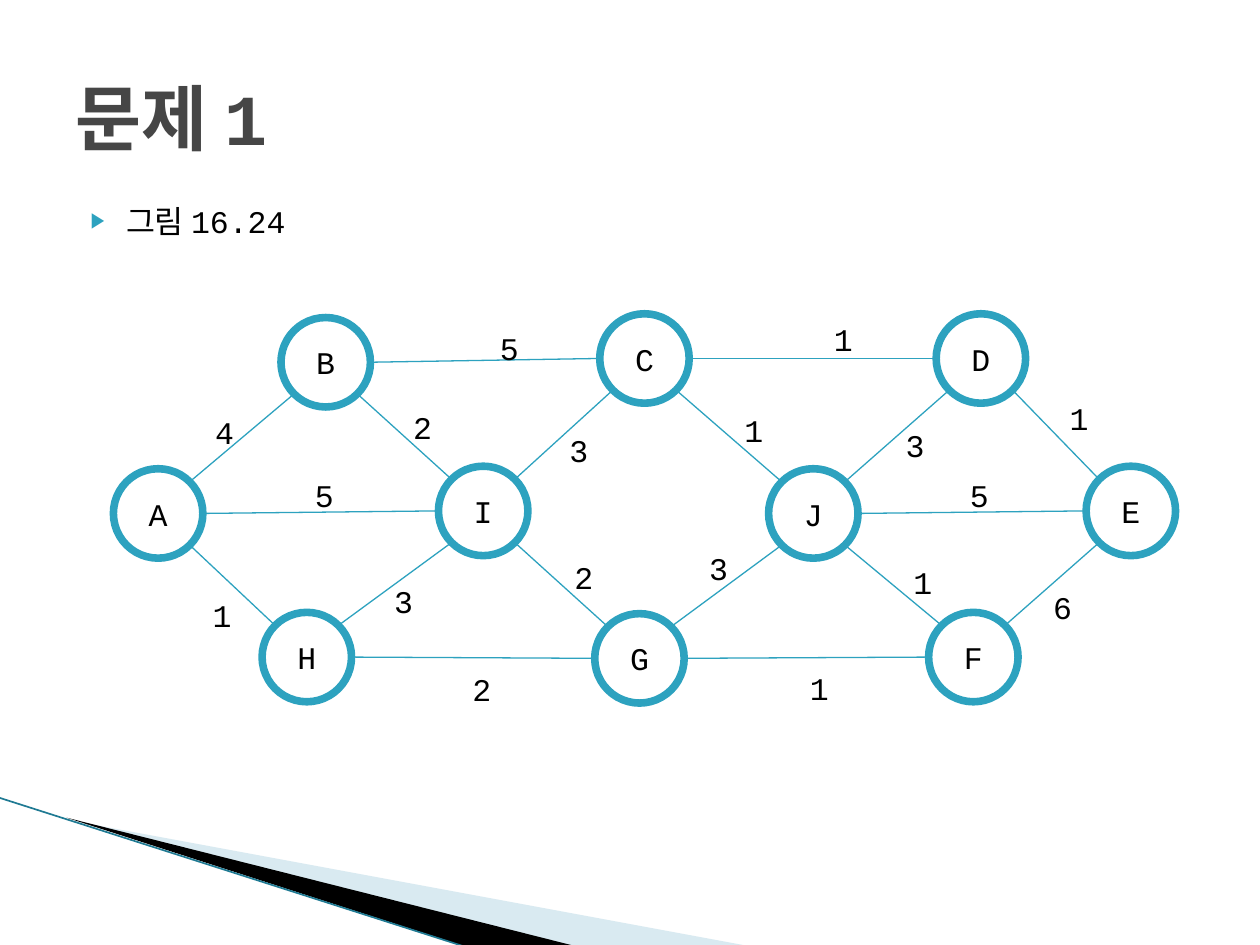
from math import atan2, cos, pi, sin

from lxml import etree
from pptx import Presentation
from pptx.dml.color import RGBColor
from pptx.enum.shapes import MSO_CONNECTOR as CONN, MSO_SHAPE as SHAPE
from pptx.enum.text import MSO_ANCHOR as ANCHOR, MSO_AUTO_SIZE as FIT, PP_ALIGN as ALIGN
from pptx.oxml.ns import qn
from pptx.util import Inches, Pt

FONT, TEAL, SIZE = "Courier New", "2DA2BF", 0.71
NODES = {
    "A": (0, 1.23), "B": (1.33, 0.03), "C": (3.86, 0), "D": (6.53, 0), "E": (7.72, 1.21),
    "F": (6.47, 2.37), "G": (3.82, 2.38), "H": (1.18, 2.37), "I": (2.58, 1.21), "J": (5.2, 1.23),
}
EDGES = [
    ("AB", 4, 0.71, 0.74), ("BC", 5, 2.97, 0.07), ("CD", 1, 5.62, 0), ("DE", 1, 7.49, 0.63),
    ("EF", 6, 7.36, 2.13), ("FG", 1, 5.43, 2.77), ("GH", 2, 2.75, 2.78), ("HA", 1, 0.69, 2.19),
    ("AI", 5, 1.5, 1.24), ("IB", 2, 2.28, 0.7), ("HI", 3, 2.13, 2.08), ("CI", 3, 3.52, 0.88),
    ("GI", 2, 3.56, 1.89), ("CJ", 1, 4.91, 0.72), ("JD", 3, 6.19, 0.84), ("JE", 5, 6.7, 1.24),
    ("JF", 1, 6.25, 1.93), ("JG", 3, 4.63, 1.82),
]


def rgb(color):
    """Turn a hex string into a colour."""
    return RGBColor.from_string(color)


def sub(parent, tag, **attrs):
    """Append a DrawingML element."""
    return etree.SubElement(parent, qn(tag), attrs)


def write(tf, text, size=18, color="000000", bold=False, align=ALIGN.LEFT, anchor=ANCHOR.TOP):
    """Write one formatted paragraph and return it."""
    tf.vertical_anchor = anchor
    p = tf.paragraphs[0]
    p.alignment = align
    r = p.add_run()
    r.text = text
    r.font.name, r.font.size, r.font.bold = FONT, Pt(size), bold
    r.font.color.rgb = rgb(color)
    return p


def line(shapes, start, end, color=TEAL, width=0.75):
    """Draw a straight line without a shadow."""
    c = shapes.add_connector(CONN.STRAIGHT, *map(Inches, (*start, *end)))
    c.line.color.rgb, c.line.width = rgb(color), Pt(width)
    sub(c.element.spPr, "a:effectLst")


def wedge(s, points, color, alpha=None):
    """Draw a filled polygon without an outline."""
    pts = [(Inches(x), Inches(y)) for x, y in points]
    builder = s.shapes.build_freeform(*pts[0])
    builder.add_line_segments(pts[1:])
    sp = builder.convert_to_shape()
    sp.shadow.inherit = False
    sp.fill.solid()
    sp.fill.fore_color.rgb = rgb(color)
    sp.line.fill.background()
    if alpha:
        clr = sp.element.spPr.find(".//" + qn("a:srgbClr"))
        sub(clr, "a:alpha", val=str(alpha * 1000))


def swoosh(s, x, y):
    """Draw the corner decoration from its top left point."""
    wedge(s, [(x + 0.56, y + 0.18), (x + 5.96, y + 1.18), (x + 4.57, y + 1.18)], "A0CBDC", 40)
    wedge(s, [(x + 0.54, y + 0.16), (x + 4.58, y + 1.18), (x + 3.73, y + 1.19)], "000000")
    line(s.shapes, (x, y), (x + 3.72, y + 1.19), "1F7A93", 0.95)


def place(ph, x, y, w, h):
    """Move a placeholder to its box, in front of the decoration."""
    ph.left, ph.top, ph.width, ph.height = map(Inches, (x, y, w, h))
    ph.element.getparent().append(ph.element)
    return ph.text_frame


def heading(s, text, *box):
    """Fill the title placeholder."""
    write(place(s.shapes.title, *box), text, 41, "464646", True, anchor=ANCHOR.MIDDLE)


def bullets(s, text, *box):
    """Fill the body placeholder with a bulleted line."""
    p = write(place(s.placeholders[1], *box), text)
    p.space_before = Pt(4)
    pPr = p._p.get_or_add_pPr()
    pPr.set("marL", str(Inches(0.4)))
    pPr.set("indent", str(Inches(-0.28)))
    sub(sub(pPr, "a:buClr"), "a:srgbClr", val=TEAL)
    sub(pPr, "a:buSzPct", val="68000")
    sub(pPr, "a:buChar", char="▶")


def node(shapes, name, x, y):
    """Draw a named graph node."""
    sp = shapes.add_shape(SHAPE.OVAL, *map(Inches, (x, y, SIZE, SIZE)))
    sp.shadow.inherit = False
    sp.fill.solid()
    sp.fill.fore_color.rgb = rgb("FFFFFF")
    sp.line.color.rgb, sp.line.width = rgb(TEAL), Pt(4.33)
    write(sp.text_frame, name, align=ALIGN.CENTER, anchor=ANCHOR.MIDDLE)


def edge(shapes, a, b):
    """Join two nodes at the nearest of their eight connection sites."""
    (ax, ay), (bx, by) = a, b
    angle = round(atan2(by - ay, bx - ax) / (pi / 4)) * pi / 4
    r = SIZE / 2
    dx, dy = r * cos(angle), r * sin(angle)
    line(shapes, (ax + r + dx, ay + r + dy), (bx + r - dx, by + r - dy))


def weight(shapes, value, x, y):
    """Write the weight of an edge."""
    tb = shapes.add_textbox(*map(Inches, (x, y, 0.36, 0.4)))
    tb.text_frame.word_wrap = False
    tb.text_frame.auto_size = FIT.SHAPE_TO_FIT_TEXT
    write(tb.text_frame, str(value))


def graph(s, x, y):
    """Draw the weighted graph as one group."""
    shapes = s.shapes.add_group_shape().shapes
    at = {name: (x + dx, y + dy) for name, (dx, dy) in NODES.items()}
    for name, pos in at.items():
        node(shapes, name, *pos)
    for (a, b), *_ in EDGES:
        edge(shapes, at[a], at[b])
    for _, value, dx, dy in EDGES:
        weight(shapes, value, x + dx, y + dy)


def main():
    """Build and save the slide."""
    prs = Presentation()
    prs.slide_width, prs.slide_height = Inches(10), Inches(7.5)
    s = prs.slides.add_slide(prs.slide_layouts[1])
    swoosh(s, -0.01, 6.33)
    bullets(s, "그림 16.24", 0.5, 1.55, 9.46, 4.95)
    heading(s, "문제 1", 0.5, 0.3, 9, 1.25)
    graph(s, 0.9, 2.49)
    prs.save("out.pptx")


main()
